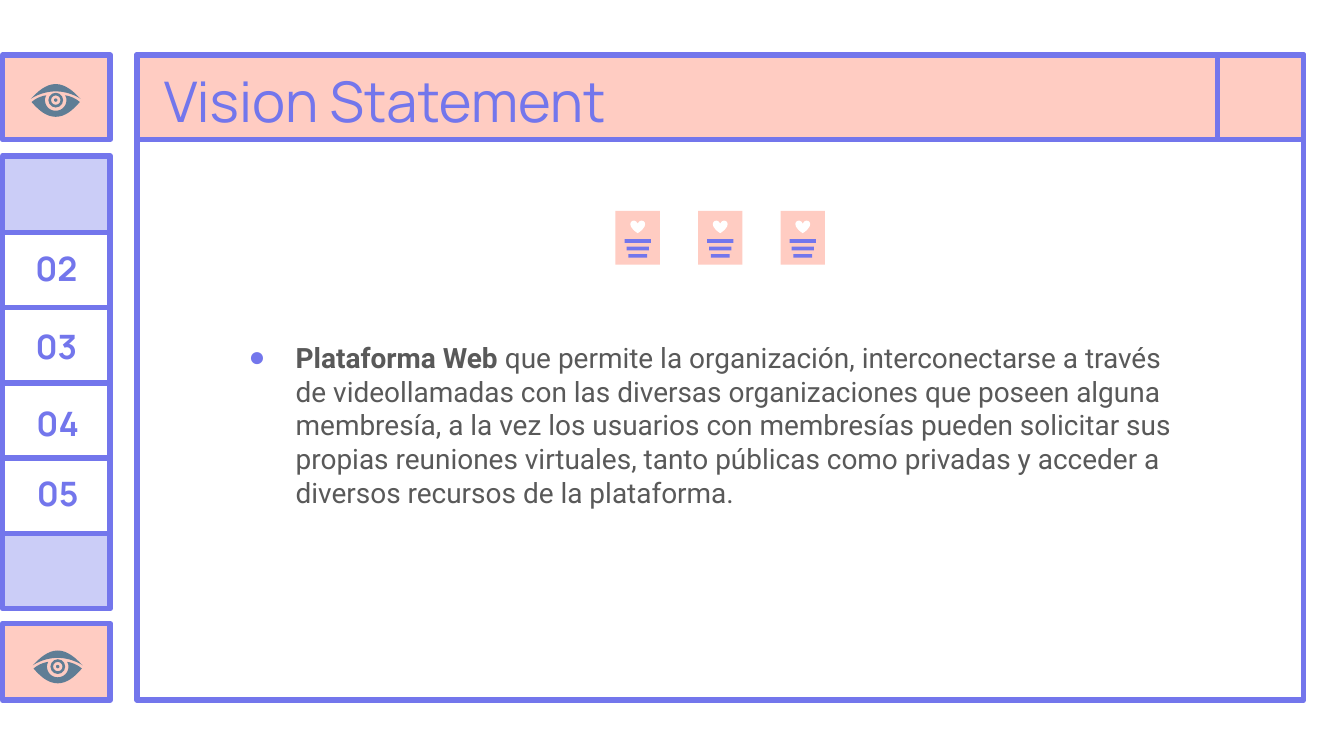
from dataclasses import dataclass

from lxml import etree
from pptx import Presentation
from pptx import util as u
from pptx.dml.color import RGBColor
from pptx.enum import shapes, text
from pptx.oxml.ns import qn

VIOLET = RGBColor(0x73, 0x76, 0xEC)
LILAC = RGBColor(0xCB, 0xCD, 0xF7)
PEACH = RGBColor(0xFF, 0xCC, 0xC2)
WHITE = RGBColor(0xFF, 0xFF, 0xFF)
SLATE = RGBColor(0x5F, 0x7D, 0x95)
GREY = RGBColor(0x59, 0x59, 0x59)

WIDTH, HEIGHT = u.Inches(10), u.Inches(5.625)
GRID_COLUMNS = 100
UNIT = WIDTH / GRID_COLUMNS
Point = tuple[float, float]
RECTANGLE = shapes.MSO_SHAPE.RECTANGLE


@dataclass(frozen=True)
class Cell:
    column: float
    row: float
    columns: float
    rows: float

    def emu(self) -> list[int]:
        return [grid(v) for v in (self.column, self.row, self.columns, self.rows)]


@dataclass(frozen=True)
class Panel:
    cell: Cell
    fill: RGBColor


@dataclass(frozen=True)
class Label:
    words: str
    column: float
    row: float


@dataclass(frozen=True)
class Curve:
    start: Point
    first: Point
    second: Point
    end: Point

    def points(self, steps: int = 10) -> list[Point]:
        found = []
        for step in range(steps + 1):
            t = step / steps
            weights = ((1 - t) ** 3, 3 * t * (1 - t) ** 2, 3 * t * t * (1 - t), t ** 3)
            knots = (self.start, self.first, self.second, self.end)
            found.append((sum(w * k[0] for w, k in zip(weights, knots)),
                          sum(w * k[1] for w, k in zip(weights, knots))))
        return found


RAIL_COLUMN, RAIL_COLUMNS, RAIL_ROWS = 0.2, 8, 5.7
RAIL_TOP, RAIL_PITCH = 11.6, 5.6
RAIL_FILLS = [LILAC, WHITE, WHITE, WHITE, WHITE, LILAC]
PANELS = [
    Panel(Cell(10.2, 4.1, 86.8, 48), WHITE),
    Panel(Cell(10.2, 4.1, 80.4, 6.3), PEACH),
    Panel(Cell(90.6, 4.1, 6.4, 6.3), PEACH),
    *[Panel(Cell(RAIL_COLUMN, RAIL_TOP + i * RAIL_PITCH, RAIL_COLUMNS, RAIL_ROWS), fill)
      for i, fill in reversed(list(enumerate(RAIL_FILLS)))],
    Panel(Cell(RAIL_COLUMN, 46.4, RAIL_COLUMNS, RAIL_ROWS), PEACH),
    Panel(Cell(RAIL_COLUMN, 4.1, RAIL_COLUMNS, 6.3), PEACH),
]
LABELS = [Label("02", 1.4, 18.7), Label("03", 1.4, 24.5),
          Label("04", 1.5, 30.2), Label("05", 1.5, 35.4)]
EYE_CENTRES: list[Point] = [(4.15, 7.45), (4.3, 9.6 + 40)]
UPPER_LID = [
    Curve((0, -1.2), (-0.95, -1.2), (-1.7, -0.2), (-1.85, -0.1)),
    Curve((-1.85, -0.1), (-1.4, -0.4), (-0.7, -0.65), (0, -0.65)),
]
LOWER_LID = [
    Curve((0, 1.25), (-0.9, 1.25), (-1.55, 0.4), (-1.8, 0.15)),
    Curve((-1.8, 0.15), (-1.45, -0.15), (-1.05, -0.3), (-0.7, -0.35)),
    Curve((-0.7, -0.35), (-0.75, -0.25), (-0.8, -0.15), (-0.8, 0)),
    Curve((-0.8, 0), (-0.8, 0.45), (-0.45, 0.8), (0, 0.8)),
]
CARD_COUNT, CARD_COLUMN, CARD_PITCH = 3, 45.8, 6.14
CARD_COLUMNS = 3.3
CARD_BARS = [(17.8, 1.95), (18.35, 1.65), (18.9, 1.4)]


def grid(value: float) -> int:
    return round(value * UNIT)


def paint(shape, fill: RGBColor, outline: RGBColor | None = None) -> None:
    shape.shadow.inherit = False
    shape.fill.solid()
    shape.fill.fore_color.rgb = fill
    if outline is None:
        shape.line.fill.background()
    else:
        shape.line.color.rgb = outline
        shape.line.width = u.Pt(3)


def draw_preset(page, kind, cell: Cell, fill: RGBColor, outline: RGBColor | None = None):
    shape = page.shapes.add_shape(kind, *cell.emu())
    paint(shape, fill, outline)
    return shape


def draw_lid(page, centre: Point, curves: list[Curve]) -> None:
    left = [point for curve in curves for point in curve.points()]
    outline = left + [(-x, y) for x, y in reversed(left)]
    spots = [(grid(centre[0] + x), grid(centre[1] + y)) for x, y in outline]
    builder = page.shapes.build_freeform(*spots[0])
    builder.add_line_segments(spots[1:], close=True)
    paint(builder.convert_to_shape(), SLATE)


def draw_eye(page, centre: Point) -> None:
    def around(size: float) -> Cell:
        return Cell(centre[0] - size / 2, centre[1] - size / 2, size, size)

    draw_lid(page, centre, UPPER_LID)
    draw_preset(page, shapes.MSO_SHAPE.OVAL, around(0.25), SLATE)
    ring = draw_preset(page, shapes.MSO_SHAPE.DONUT, around(1.1), SLATE)
    ring.adjustments[0] = 0.18
    draw_lid(page, centre, LOWER_LID)


def draw_card(page, column: float) -> None:
    middle = column + CARD_COLUMNS / 2
    draw_preset(page, RECTANGLE, Cell(column, 15.7, CARD_COLUMNS, 4), PEACH)
    for row, columns in CARD_BARS:
        draw_preset(page, RECTANGLE, Cell(middle - columns / 2, row, columns, 0.28), VIOLET)
    draw_preset(page, shapes.MSO_SHAPE.HEART, Cell(middle - 0.55, 16.4, 1.1, 0.95), WHITE)


def prepare(box, cell: Cell):
    box.left, box.top, box.width, box.height = cell.emu()
    frame = box.text_frame
    frame.word_wrap = True
    frame.auto_size = text.MSO_AUTO_SIZE.NONE
    frame.vertical_anchor = text.MSO_ANCHOR.MIDDLE
    frame.margin_left = frame.margin_right = frame.margin_top = frame.margin_bottom = 0
    para = frame.paragraphs[0]
    para.alignment = text.PP_ALIGN.LEFT
    para.space_before = u.Pt(0)
    return para


def add_span(para, words: str, font: str, size: float, color: RGBColor, bold: bool = False) -> None:
    span = para.add_run()
    span.text = words
    span.font.name = font
    span.font.size = u.Pt(size)
    span.font.color.rgb = color
    span.font.bold = bold


def add_bullet(para, mark: str, color: RGBColor) -> None:
    properties = para._p.get_or_add_pPr()
    properties.set("marL", str(u.Inches(0.5)))
    properties.set("indent", str(u.Inches(-0.35)))
    tint = etree.SubElement(properties, qn("a:buClr"))
    etree.SubElement(tint, qn("a:srgbClr")).set("val", str(color))
    etree.SubElement(properties, qn("a:buChar")).set("char", mark)


def draw_label(page, label: Label) -> None:
    cell = Cell(label.column, label.row, 5.6, 2.5)
    para = prepare(page.shapes.add_textbox(*cell.emu()), cell)
    para.alignment = text.PP_ALIGN.CENTER
    add_span(para, label.words, "Manrope", 18, VIOLET, True)


def main() -> None:
    deck = Presentation()
    deck.slide_width, deck.slide_height = WIDTH, HEIGHT
    page = deck.slides.add_slide(deck.slide_layouts[1])
    title, body = page.placeholders
    for panel in PANELS:
        draw_preset(page, RECTANGLE, panel.cell, panel.fill, VIOLET)
    for box in (title, body):
        page.shapes._spTree.append(box._element)

    heading = prepare(title, Cell(12.2, 4.3, 75.6, 6.3))
    add_span(heading, "Vision Statement", "Manrope", 30, VIOLET)
    statement = prepare(body, Cell(17, 23.6, 72.2, 16))
    add_bullet(statement, "●", VIOLET)
    add_span(statement, "Plataforma Web ", "Roboto", 15, GREY, True)
    add_span(statement, "que permite la organización, interconectarse a través de "
             "videollamadas con las diversas organizaciones que poseen alguna membresía, "
             "a la vez los usuarios con membresías pueden solicitar sus propias reuniones "
             "virtuales, tanto públicas como privadas y acceder a diversos recursos de la "
             "plataforma.", "Roboto", 15, GREY)

    for label in LABELS:
        draw_label(page, label)
    for centre in EYE_CENTRES:
        draw_eye(page, centre)
    for index in range(CARD_COUNT):
        draw_card(page, CARD_COLUMN + index * CARD_PITCH)
    deck.save("out.pptx")


if __name__ == "__main__":
    main()
